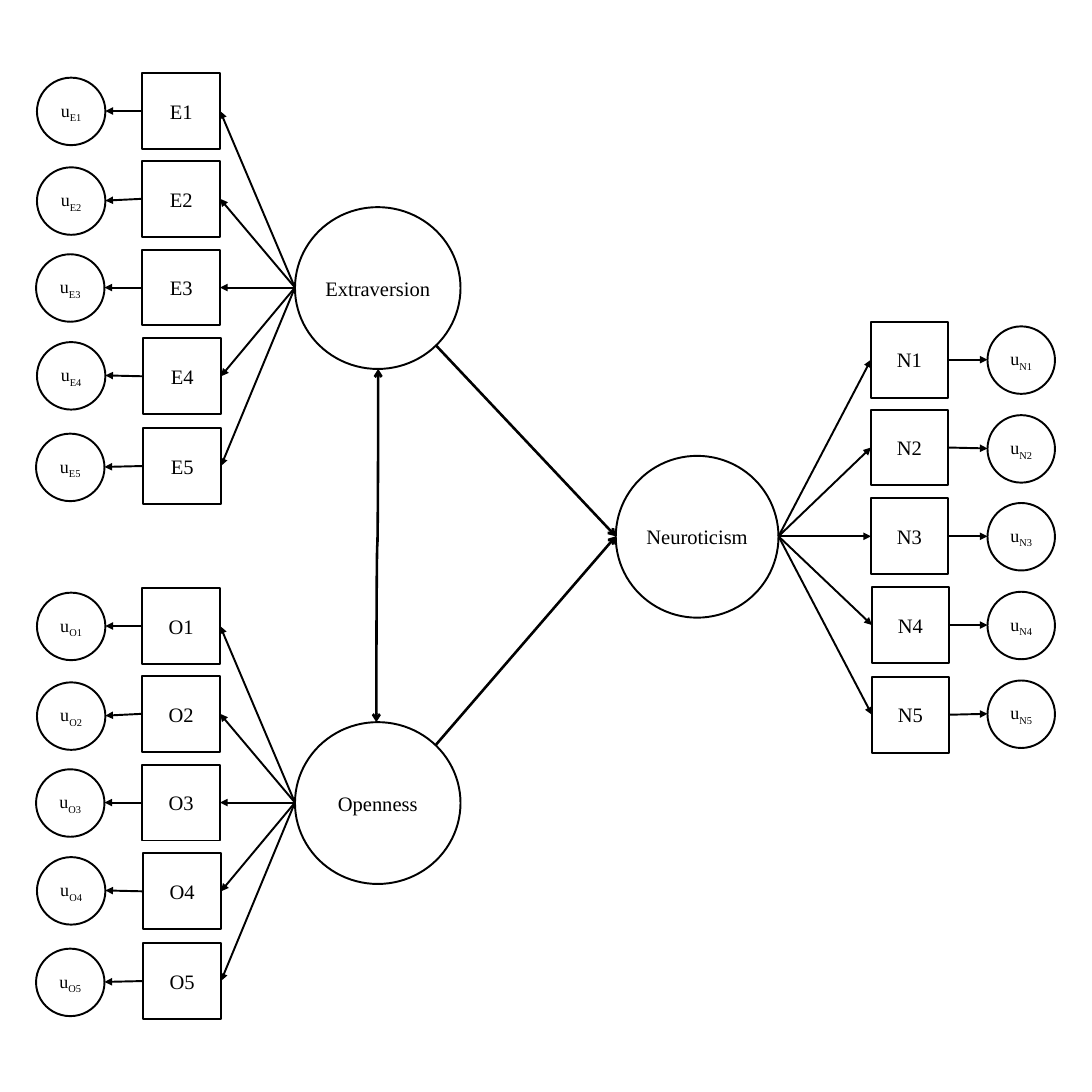
from lxml.etree import SubElement
from pptx import Presentation
from pptx.dml.color import RGBColor
from pptx.enum.shapes import MSO_CONNECTOR, MSO_SHAPE
from pptx.enum.text import MSO_ANCHOR, PP_ALIGN
from pptx.oxml.ns import qn
from pptx.util import Pt

EMU_PER_PX = 9144
SLIDE_SIZE = 1181
COLORS = {"ink": "000000", "paper": "FFFFFF"}
FONT = "Times New Roman"

BOX_HEIGHT = 82
ERROR_HEIGHT = 73
LATENT_HEIGHT = 175
ROW_OFFSETS = (-191, -96, 0, 96, 193)
ROW_SHIFTS = (0, 0, 0, 1, 1)

LEFT_SIDE = {
    "latent_left": 319, "latent_width": 179, "box_left": 154, "box_width": 84,
    "error_lefts": (40, 40, 39, 40, 39), "error_width": 74,
    "error_offsets": (-191, -94, 0, 95, 194),
}
RIGHT_SIDE = {
    "latent_left": 666, "latent_width": 176, "box_left": 942, "box_width": 83,
    "error_lefts": (1068,) * 5, "error_width": 73,
    "error_offsets": (-191, -95, 0, 96, 192),
}
FACTORS = (
    ("Extraversion", 311, LEFT_SIDE),
    ("Openness", 868, LEFT_SIDE),
    ("Neuroticism", 580, RIGHT_SIDE),
)
STRUCTURAL_PATHS = (
    ((471, 373), (666, 580)),
    ((471, 806), (666, 580)),
)


def px(length):
    return length * EMU_PER_PX


def color(name):
    return RGBColor.from_string(COLORS[name])


def add_text(paragraph, text, size=16, ink="ink", baseline=0):
    run = paragraph.add_run()
    run.text = text
    run.font.name = FONT
    run.font.size = Pt(size)
    run.font.color.rgb = color(ink)
    if baseline:
        run._r.get_or_add_rPr().set("baseline", str(baseline * 1000))


class PathDiagram:
    def __init__(self, slide, line_width=1.5):
        self.slide = slide
        self.line_width = line_width

    def node(self, kind, left, middle, width, height, margins):
        shape = self.slide.shapes.add_shape(
            kind, px(left), px(middle - height // 2), px(width), px(height))
        shape.shadow.inherit = False
        shape.fill.solid()
        shape.fill.fore_color.rgb = color("paper")
        shape.line.color.rgb = color("ink")
        shape.line.width = Pt(self.line_width)
        frame = shape.text_frame
        frame.word_wrap = True
        frame.vertical_anchor = MSO_ANCHOR.MIDDLE
        frame.margin_left = frame.margin_right = px(margins[0])
        frame.margin_top = frame.margin_bottom = px(margins[1])
        paragraph = frame.paragraphs[0]
        paragraph.alignment = PP_ALIGN.CENTER
        return paragraph

    def latent(self, name, left, middle, width):
        paragraph = self.node(
            MSO_SHAPE.OVAL, left, middle, width, LATENT_HEIGHT, (0, 5))
        add_text(paragraph, name)

    def indicator(self, name, left, middle, width):
        paragraph = self.node(
            MSO_SHAPE.RECTANGLE, left, middle, width, BOX_HEIGHT, (6, 3))
        add_text(paragraph, name)

    def error(self, name, left, middle, width):
        paragraph = self.node(
            MSO_SHAPE.OVAL, left, middle, width, ERROR_HEIGHT, (10, 5))
        add_text(paragraph, "u", size=14)
        add_text(paragraph, name, size=14, baseline=-25)

    def arrow(self, start, end, width=None, tail="triangle", head=None,
              kind=MSO_CONNECTOR.STRAIGHT):
        connector = self.slide.shapes.add_connector(
            kind, *(px(length) for length in (*start, *end)))
        connector.line.color.rgb = color("ink")
        connector.line.width = Pt(width or self.line_width)
        properties = connector._element.spPr
        line = properties.find(qn("a:ln"))
        if head:
            SubElement(line, qn("a:headEnd"), type=head)
        SubElement(line, qn("a:tailEnd"), type=tail)
        SubElement(properties, qn("a:effectLst"))
        return connector

    def covariance(self, start, end):
        connector = self.arrow(
            start, end, width=2, tail="arrow", head="arrow",
            kind=MSO_CONNECTOR.CURVE)
        connector.rotation = 90
        connector._element.spPr.find(qn("a:xfrm")).set("rot", "5400000")

    def factor(self, name, middle, side):
        latent_left, latent_width = side["latent_left"], side["latent_width"]
        box_width, error_width = side["box_width"], side["error_width"]
        points_left = side["box_left"] < latent_left
        self.latent(name, latent_left, middle, latent_width)
        source = latent_left if points_left else latent_left + latent_width
        rows = zip(ROW_OFFSETS, ROW_SHIFTS, side["error_lefts"],
                   side["error_offsets"])
        for number, (offset, shift, error_left, error_offset) in enumerate(rows, 1):
            label = f"{name[0]}{number}"
            box_left = side["box_left"] + shift
            box_middle = middle + offset
            error_middle = middle + error_offset
            self.indicator(label, box_left, box_middle, box_width)
            self.error(label, error_left, error_middle, error_width)
            near, far = box_left, box_left + box_width
            error_edge = error_left
            if points_left:
                near, far = far, near
                error_edge += error_width
            self.arrow((source, middle), (near, box_middle))
            self.arrow((far, box_middle), (error_edge, error_middle))


def main():
    presentation = Presentation()
    presentation.slide_width = presentation.slide_height = px(SLIDE_SIZE)
    slide = presentation.slides.add_slide(presentation.slide_layouts[6])
    diagram = PathDiagram(slide)
    for name, middle, side in FACTORS:
        diagram.factor(name, middle, side)
    for start, end in STRUCTURAL_PATHS:
        diagram.arrow(start, end, width=2, tail="arrow")
    diagram.covariance((217, 589), (599, 591))
    presentation.save("out.pptx")


if __name__ == "__main__":
    main()
